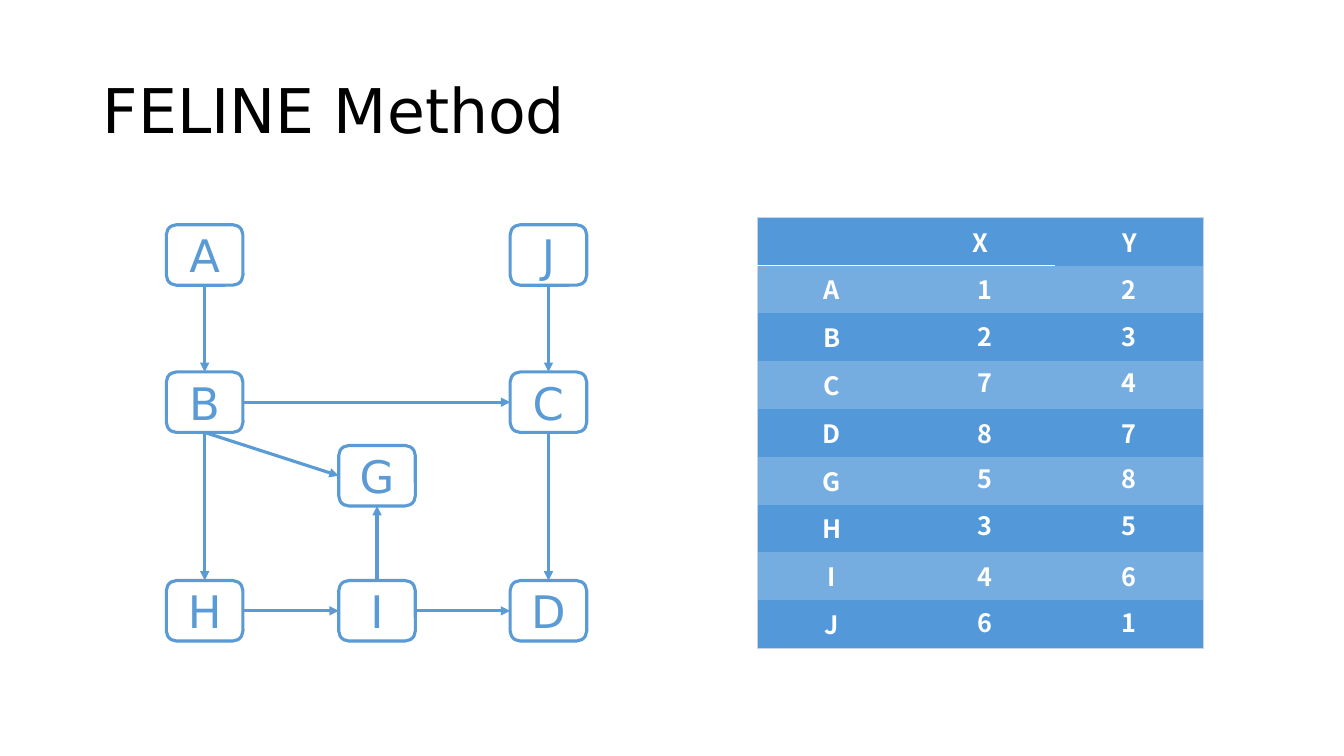
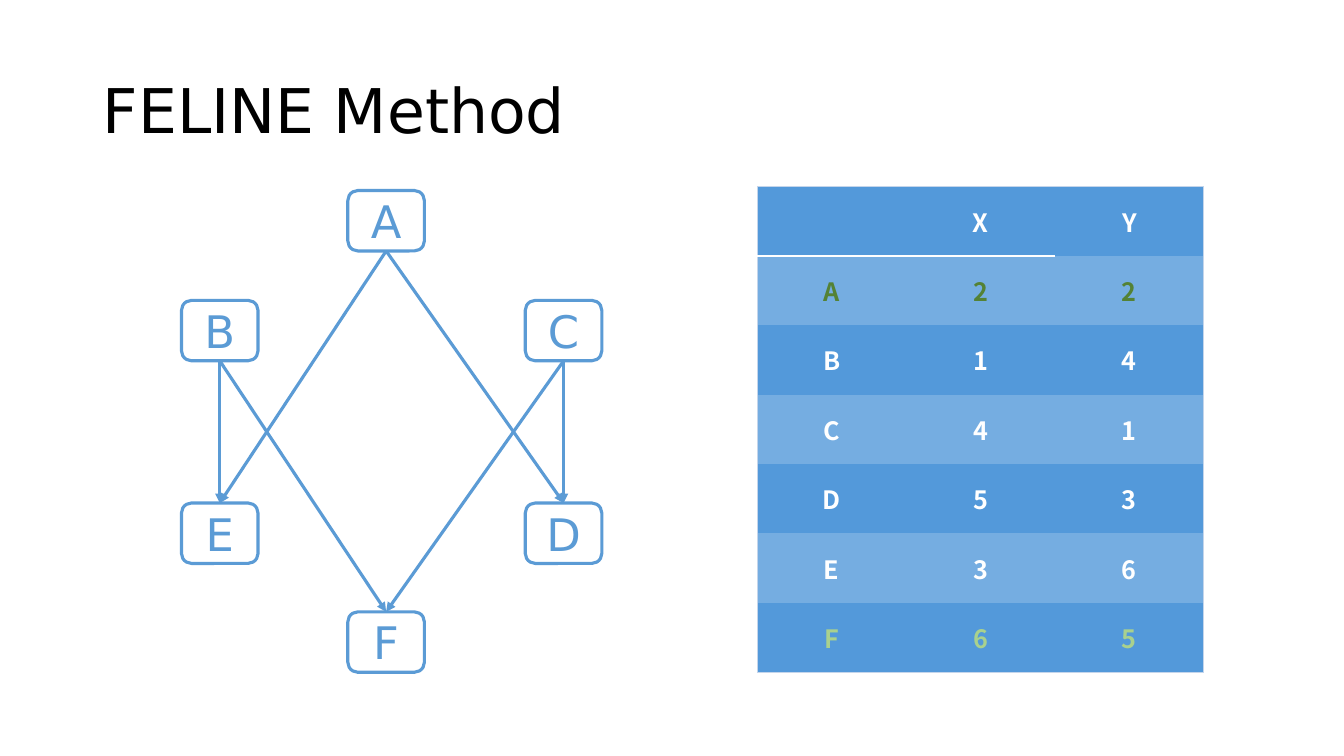
"""Build two slides that pair a directed graph with its FELINE coordinates."""
from lxml import etree
from pptx import Presentation
from pptx.dml.color import RGBColor
from pptx.enum.shapes import MSO_CONNECTOR as Connector, MSO_SHAPE as Shape
from pptx.enum.text import MSO_ANCHOR as Anchor, PP_ALIGN as Align
from pptx.oxml.ns import qn
from pptx.util import Inches, Pt

TITLE = "FELINE Method"
HEADINGS = ("", "X", "Y")
COLORS = {
    "blue": "5B9BD5", "black": "000000", "white": "FFFFFF",
    "row": "5399DA", "light_row": "75ADE1", "edge": "C4D5EB",
    "dark_green": "548235", "light_green": "A9D18E",
}
FONTS = {
    "title": {"name": "DejaVu Sans", "size": Pt(44)},
    "node": {"name": "DejaVu Sans", "size": Pt(32)},
    "cell": {"name": "Noto Sans CJK SC", "size": Pt(18), "bold": True},
}
NODE_SIZE = (0.76, 0.6)
VALUE_SIZE = (0.34, 0.4)
VALUE_LEFTS = (9.6, 11.03)
TABLE_LEFT, TABLE_WIDTH = 7.51, 4.43
PLAIN_TABLE_STYLE = "{2D5ABB26-0587-4C30-8999-92F81FD0307C}"
TOP, LEFT, BOTTOM, RIGHT = range(4)

SLIDES = [
    {
        "columns": (1.65, 3.36, 5.06),
        "rows": (2.23, 3.69, 4.42, 5.76),
        "nodes": {
            "A": (0, 0), "J": (2, 0), "B": (0, 1), "C": (2, 1),
            "G": (1, 2), "H": (0, 3), "I": (1, 3), "D": (2, 3),
        },
        "edges": [
            ("A", BOTTOM, "B", TOP), ("B", BOTTOM, "G", LEFT),
            ("B", BOTTOM, "H", TOP), ("B", RIGHT, "C", LEFT),
            ("H", RIGHT, "I", LEFT), ("J", BOTTOM, "C", TOP),
            ("C", BOTTOM, "D", TOP), ("I", TOP, "G", BOTTOM),
            ("I", RIGHT, "D", LEFT),
        ],
        "table_top": 2.16,
        "table_height": 4.27,
        "anchor": Anchor.TOP,
        "coordinates": [
            ("A", 1, 2), ("B", 2, 3), ("C", 7, 4), ("D", 8, 7),
            ("G", 5, 8), ("H", 3, 5), ("I", 4, 6), ("J", 6, 1),
        ],
        "floating_tops": (2.67, 3.14, 3.59, 4.1, 4.55, 5.01, 5.52, 5.98),
        "highlights": {},
    },
    {
        "columns": (1.8, 3.45, 5.21),
        "rows": (1.89, 2.98, 4.99, 6.07),
        "nodes": {
            "A": (1, 0), "B": (0, 1), "C": (2, 1),
            "E": (0, 2), "D": (2, 2), "F": (1, 3),
        },
        "edges": [
            (start, BOTTOM, end, TOP)
            for start, end in ("AE", "BF", "BE", "CF", "AD", "CD")
        ],
        "table_top": 1.85,
        "table_height": 4.82,
        "anchor": Anchor.MIDDLE,
        "coordinates": [
            ("A", 2, 2), ("B", 1, 4), ("C", 4, 1),
            ("D", 5, 3), ("E", 3, 6), ("F", 6, 5),
        ],
        "floating_tops": (),
        "highlights": {"A": "dark_green", "F": "light_green"},
    },
]


def color(name):
    return RGBColor.from_string(COLORS[name])


def write(frame, text, style, color_name, align=Align.CENTER):
    paragraph = frame.paragraphs[0]
    paragraph.text = text
    paragraph.alignment = align
    for name, value in FONTS[style].items():
        setattr(paragraph.font, name, value)
    paragraph.font.color.rgb = color(color_name)
    return paragraph


def style_line(line):
    line.color.rgb = color("blue")
    line.width = Pt(2.25)


def add_title(slide):
    box = slide.shapes.add_textbox(*map(Inches, (0.92, 0.4, 11.5, 1.45)))
    box.text_frame.word_wrap = True
    box.text_frame.vertical_anchor = Anchor.MIDDLE
    write(box.text_frame, TITLE, "title", "black", Align.LEFT).line_spacing = 0.9


def add_node(slide, label, left, top):
    shape = slide.shapes.add_shape(
        Shape.ROUNDED_RECTANGLE, *map(Inches, (left, top, *NODE_SIZE)))
    shape.shadow.inherit = False
    shape.fill.background()
    style_line(shape.line)
    shape.text_frame.vertical_anchor = Anchor.MIDDLE
    write(shape.text_frame, label, "node", "blue")
    return shape


def add_arrow(slide, start, start_side, end, end_side):
    connector = slide.shapes.add_connector(Connector.STRAIGHT, 0, 0, 0, 0)
    connector.begin_connect(start, start_side)
    connector.end_connect(end, end_side)
    style_line(connector.line)
    etree.SubElement(connector.line._get_or_add_ln(), qn("a:tailEnd"), type="triangle")
    etree.SubElement(connector._element.spPr, qn("a:effectLst"))


def add_graph(slide, content):
    nodes = {
        label: add_node(slide, label, content["columns"][column], content["rows"][row])
        for label, (column, row) in content["nodes"].items()
    }
    for start, start_side, end, end_side in content["edges"]:
        add_arrow(slide, nodes[start], start_side, nodes[end], end_side)


def add_border(cell, side, color_name, width):
    properties = cell._tc.get_or_add_tcPr()
    border = etree.SubElement(properties, qn(f"a:ln{side}"), w=str(Pt(width)))
    fill = etree.SubElement(border, qn("a:solidFill"))
    etree.SubElement(fill, qn("a:srgbClr"), val=COLORS[color_name])


def add_table(slide, content):
    records = [HEADINGS, *content["coordinates"]]
    if content["floating_tops"]:
        records[1:] = [(label, "", "") for label, *_ in records[1:]]
    row_count, column_count = len(records), len(HEADINGS)
    bounds = (TABLE_LEFT, content["table_top"], TABLE_WIDTH, content["table_height"])
    table = slide.shapes.add_table(row_count, column_count, *map(Inches, bounds)).table
    table._tbl.tblPr.find(qn("a:tableStyleId")).text = PLAIN_TABLE_STYLE
    for row, record in enumerate(records):
        text_color = content["highlights"].get(record[0], "white")
        for column, value in enumerate(record):
            cell = table.cell(row, column)
            cell.vertical_anchor = content["anchor"]
            write(cell.text_frame, str(value), "cell", text_color)
            outer_sides = {
                "L": column == 0, "R": column == column_count - 1,
                "T": row == 0, "B": row == row_count - 1,
            }
            for side, is_outer in outer_sides.items():
                if is_outer:
                    add_border(cell, side, "edge", 0.5)
            if row == 0 and column < column_count - 1:
                add_border(cell, "B", "white", 1.5)
            cell.fill.solid()
            cell.fill.fore_color.rgb = color("light_row" if row % 2 else "row")


def add_floating_values(slide, content):
    for top, (_, *values) in zip(content["floating_tops"], content["coordinates"]):
        for left, value in zip(VALUE_LEFTS, values):
            box = slide.shapes.add_textbox(*map(Inches, (left, top, *VALUE_SIZE)))
            box.text_frame.word_wrap = True
            write(box.text_frame, str(value), "cell", "white", Align.LEFT)


def main():
    presentation = Presentation()
    presentation.slide_width = Inches(13.33)
    presentation.slide_height = Inches(7.5)
    for content in SLIDES:
        slide = presentation.slides.add_slide(presentation.slide_layouts[6])
        add_title(slide)
        add_graph(slide, content)
        add_table(slide, content)
        add_floating_values(slide, content)
    presentation.save("out.pptx")


if __name__ == "__main__":
    main()
